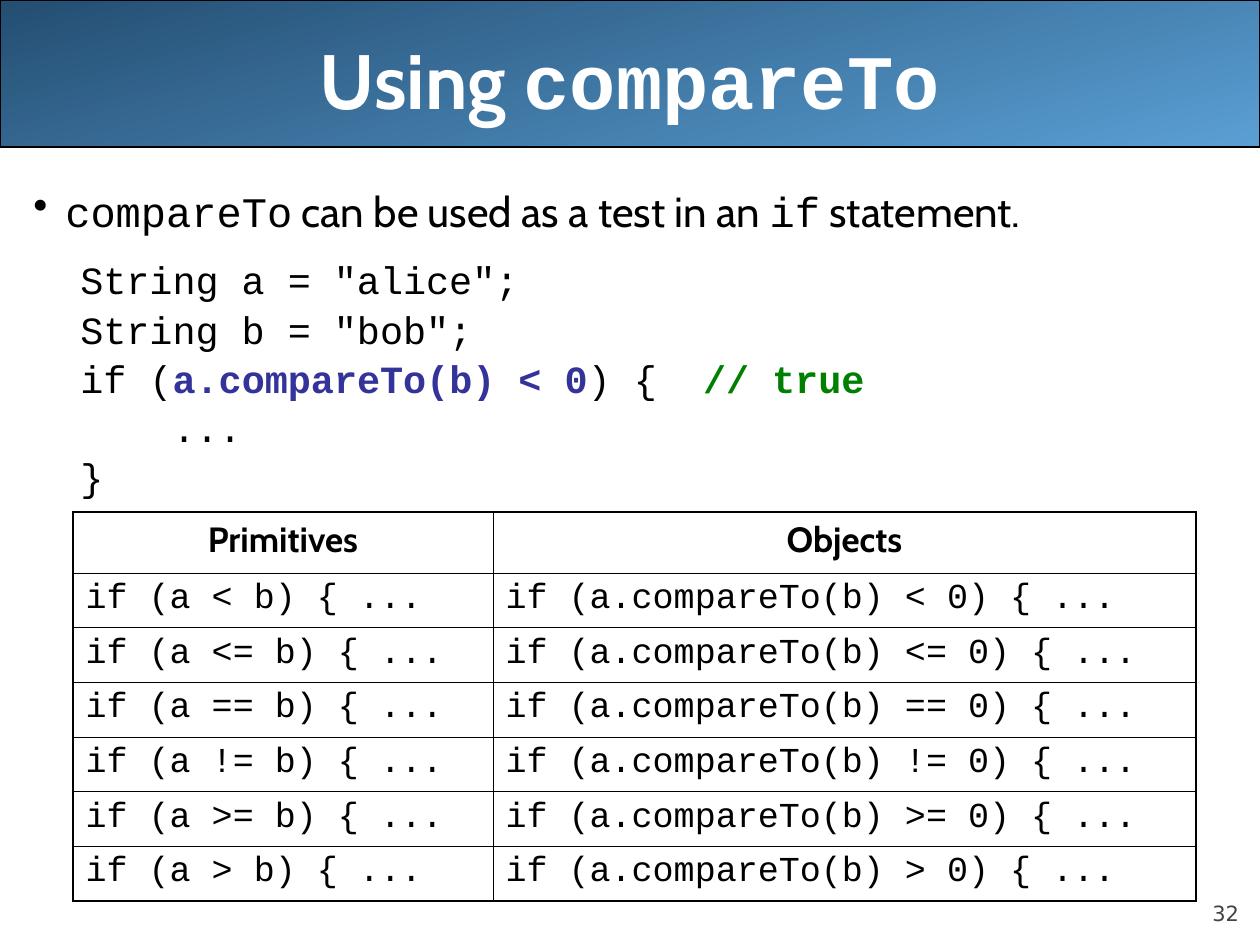
from dataclasses import dataclass

import lxml.etree
import pptx
import pptx.dml.color
import pptx.enum.shapes
import pptx.enum.text
import pptx.oxml.ns
import pptx.util

EMU_PER_PX = 914400 // 126
HEADING_FONT = "Cabin"
CODE_FONT = "Courier New"
NUMBER_FONT = "DejaVu Sans"
BLACK = "000000"
ALIGN = pptx.enum.text.PP_ALIGN
ANCHOR = pptx.enum.text.MSO_ANCHOR


@dataclass
class Box:
    left: int
    top: int
    width: int
    height: int

    def emu(self) -> tuple[int, ...]:
        return tuple(px(value) for value in (self.left, self.top, self.width, self.height))


@dataclass
class Piece:
    text: str
    font: str | None = None
    color: str | None = None
    bold: bool | None = None


@dataclass
class Style:
    size: int
    font: str | None = None
    color: str = BLACK
    bold: bool = False
    align: ALIGN = ALIGN.LEFT


TITLE = Style(44, color="FFFFFF", bold=True, align=ALIGN.CENTER)
BULLET = Style(24)
CODE = Style(22, CODE_FONT)
NUMBER = Style(12, NUMBER_FONT, "424242", align=ALIGN.RIGHT)
TABLE_HEADER = Style(20, HEADING_FONT, bold=True, align=ALIGN.CENTER)
TABLE_CODE = Style(20, CODE_FONT)

CODE_LINES = [
    [Piece('String a = "alice";')],
    [Piece('String b = "bob";')],
    [
        Piece("if ("),
        Piece("a.compareTo(b) < 0", color="333399", bold=True),
        Piece(") {  "),
        Piece("// true", color="008000", bold=True),
    ],
    [Piece("    ...")],
    [Piece("}")],
]
OPERATORS = ["<", "<=", "==", "!=", ">=", ">"]
TABLE_BOX = Box(73, 512, 1123, 382)
COLUMN_WIDTHS = (420, 703)
HEADER_HEIGHT = 61
OUTER_LINE = 1.08
INNER_LINE = 0.45


def px(value: int) -> int:
    return value * EMU_PER_PX


def rgb(value: str) -> pptx.dml.color.RGBColor:
    return pptx.dml.color.RGBColor.from_string(value)


def write(paragraph, pieces: list[Piece], style: Style) -> None:
    paragraph.alignment = style.align
    font = paragraph.font
    font.size = pptx.util.Pt(style.size)
    font.bold = style.bold
    font.color.rgb = rgb(style.color)
    if style.font:
        font.name = style.font
    for piece in pieces:
        run = paragraph.add_run()
        run.text = piece.text
        if piece.font:
            run.font.name = piece.font
        if piece.color:
            run.font.color.rgb = rgb(piece.color)
        if piece.bold is not None:
            run.font.bold = piece.bold


def indent(paragraph, margin: int, first_line: int, bullet: str | None = None) -> None:
    properties = paragraph._p.get_or_add_pPr()
    properties.set("marL", str(px(margin)))
    properties.set("indent", str(px(first_line)))
    if bullet:
        mark = lxml.etree.SubElement(properties, pptx.oxml.ns.qn("a:buChar"))
        mark.set("char", bullet)


def add_text_frame(slide, box: Box, anchor: ANCHOR = ANCHOR.TOP):
    frame = slide.shapes.add_textbox(*box.emu()).text_frame
    frame.word_wrap = True
    frame.vertical_anchor = anchor
    return frame


def add_banner(slide) -> None:
    kind = pptx.enum.shapes.MSO_SHAPE.ROUNDED_RECTANGLE
    banner = slide.shapes.add_shape(kind, *Box(0, 0, 1260, 147).emu())
    banner.adjustments[0] = 0
    banner.shadow.inherit = False
    banner.fill.gradient()
    banner.fill.gradient_angle = 105
    for stop, color in zip(banner.fill.gradient_stops, ("5A9FD4", "244E72")):
        stop.color.rgb = rgb(color)
    banner.line.color.rgb = rgb(BLACK)
    banner.line.width = pptx.util.Pt(0.75)


def add_body(slide) -> None:
    frame = add_text_frame(slide, Box(21, 179, 1239, 714))
    bullet = frame.paragraphs[0]
    indent(bullet, 32, -32, "•")
    pieces = [
        Piece("compareTo", CODE_FONT),
        Piece(" can be used as a test in an ", HEADING_FONT),
        Piece("if", CODE_FONT),
        Piece(" statement.", HEADING_FONT),
    ]
    write(bullet, pieces, BULLET)
    for index, line in enumerate(CODE_LINES):
        paragraph = frame.add_paragraph()
        indent(paragraph, 86, -39)
        paragraph.line_spacing = 0.8
        paragraph.space_before = pptx.util.Pt(7 if index else 17)
        write(paragraph, line, CODE)


def set_border(cell, side: str, width: float) -> None:
    border = lxml.etree.SubElement(cell._tc.get_or_add_tcPr(), pptx.oxml.ns.qn(f"a:ln{side}"))
    border.set("w", str(pptx.util.Pt(width)))
    fill = lxml.etree.SubElement(border, pptx.oxml.ns.qn("a:solidFill"))
    lxml.etree.SubElement(fill, pptx.oxml.ns.qn("a:srgbClr")).set("val", BLACK)


def add_comparison_table(slide) -> None:
    rows = [("Primitives", "Objects")]
    rows += [(f"if (a {sign} b) {{ ...", f"if (a.compareTo(b) {sign} 0) {{ ...") for sign in OPERATORS]
    last_row, last_column = len(rows) - 1, len(COLUMN_WIDTHS) - 1
    table = slide.shapes.add_table(len(rows), len(COLUMN_WIDTHS), *TABLE_BOX.emu()).table
    table.first_row = False
    table.horz_banding = False
    for column, width in zip(table.columns, COLUMN_WIDTHS):
        column.width = px(width)
    for row_index, texts in enumerate(rows):
        code_height = px(TABLE_BOX.height - HEADER_HEIGHT) // len(OPERATORS)
        table.rows[row_index].height = code_height if row_index else px(HEADER_HEIGHT)
        for column_index, text in enumerate(texts):
            cell = table.cell(row_index, column_index)
            outer = {
                "L": column_index == 0,
                "R": column_index == last_column,
                "T": row_index == 0,
                "B": row_index == last_row,
            }
            for side, is_outer in outer.items():
                set_border(cell, side, OUTER_LINE if is_outer else INNER_LINE)
            cell.fill.background()
            style = TABLE_CODE if row_index else TABLE_HEADER
            write(cell.text_frame.paragraphs[0], [Piece(text)], style)


def main() -> None:
    presentation = pptx.Presentation()
    presentation.slide_width = px(1260)
    presentation.slide_height = px(945)
    slide = presentation.slides.add_slide(presentation.slide_layouts[6])
    add_banner(slide)
    number = add_text_frame(slide, Box(1134, 876, 105, 50), ANCHOR.BOTTOM)
    number.margin_left = number.margin_right = number.margin_top = number.margin_bottom = 0
    write(number.paragraphs[0], [Piece("32")], NUMBER)
    title = add_text_frame(slide, Box(63, 0, 1134, 158), ANCHOR.MIDDLE)
    write(title.paragraphs[0], [Piece("Using ", HEADING_FONT), Piece("compareTo", CODE_FONT)], TITLE)
    add_body(slide)
    add_comparison_table(slide)
    presentation.save("out.pptx")


if __name__ == "__main__":
    main()
